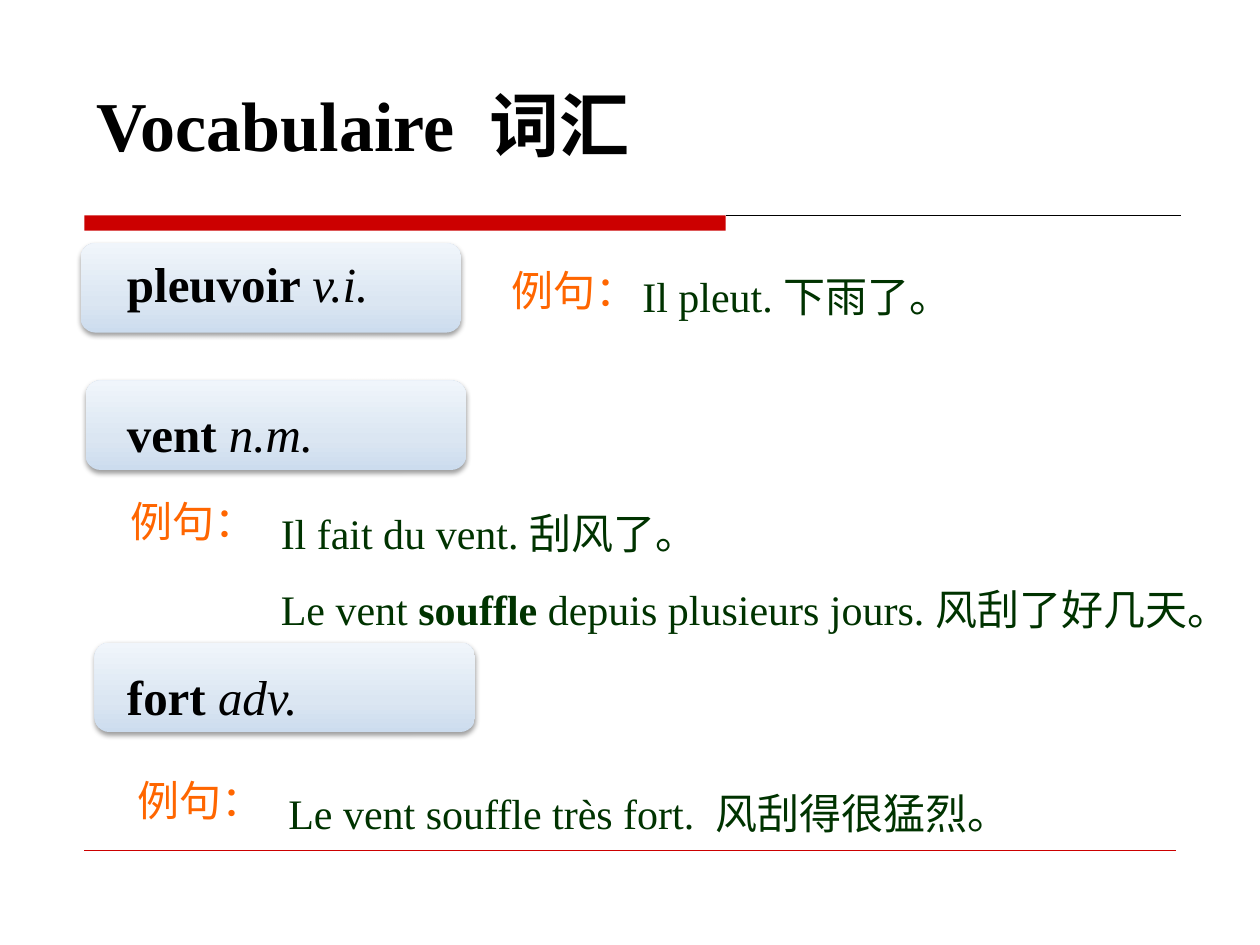
"""Build a French vocabulary slide with example sentences."""
from lxml import etree
from pptx import Presentation
from pptx.dml.color import RGBColor
from pptx.enum.shapes import MSO_CONNECTOR, MSO_SHAPE
from pptx.oxml import parse_xml
from pptx.oxml.ns import nsdecls, qn
from pptx.util import Inches, Pt

RECTANGLE = MSO_SHAPE.RECTANGLE
ROUNDED = MSO_SHAPE.ROUNDED_RECTANGLE
STRAIGHT = MSO_CONNECTOR.STRAIGHT
LATIN_FONT = "Times New Roman"
CHINESE_FONT = "Noto Sans CJK SC"
COLORS = {
    "red": "CC0000",
    "black": "000000",
    "green": "003300",
    "orange": "FF6600",
}
CARD_STOPS = [(0, "CCDCEE"), (35, "DBE6F2"), (100, "F0F5FB")]
CARDS = [(0.64, 1.93), (0.68, 3.02), (0.75, 5.1)]
WORDS = [
    ((0.91, 1.96, 2.44, 0.57), "pleuvoir ", "v.i.", 1),
    ((0.91, 2.92, 1.7, 0.72), "vent ", "n.m.", 1.5),
    ((0.91, 5.01, 1.57, 0.72), "fort ", "adv.", 1.5),
]
LABELS = [(3.96, 2.05), (0.94, 3.88), (0.99, 6.1)]
EXAMPLES = [
    ((5, 1.9, 2.76, 0.63), [[("Il pleut. 下雨了。", "")]]),
    ((2.13, 3.78, 8.82, 1.24), [
        [("Il fait du vent. 刮风了。", "")],
        [("Le vent ", ""), ("souffle", "b"),
         (" depuis plusieurs jours. 风刮了好几天。", "")],
    ]),
    ((2.19, 6, 8.82, 0.63), [[("Le vent souffle très fort.  风刮得很猛烈。", "")]]),
]


def rgb(name):
    """Return the named colour."""
    return RGBColor.from_string(COLORS[name])


def add_rule(slide, left, right, top, color, width):
    """Add a horizontal line without shadow."""
    rule = slide.shapes.add_connector(
        STRAIGHT, Inches(left), Inches(top), Inches(right), Inches(top))
    rule.line.color.rgb = rgb(color)
    rule.line.width = Pt(width)
    etree.SubElement(rule._element.spPr, qn("a:effectLst"))


def add_bar(slide, left, top, width, height):
    """Add the solid bar below the title."""
    bar = slide.shapes.add_shape(
        RECTANGLE, Inches(left), Inches(top), Inches(width), Inches(height))
    bar.shadow.inherit = False
    bar.fill.solid()
    bar.fill.fore_color.rgb = rgb("red")
    bar.line.fill.background()


def add_card(slide, left, top):
    """Add a rounded card with a gradient and a soft shadow."""
    card = slide.shapes.add_shape(
        ROUNDED, Inches(left), Inches(top), Inches(3.02), Inches(0.71))
    card.line.fill.background()
    stops = "".join(
        f'<a:gs pos="{position * 1000}"><a:srgbClr val="{color}"/></a:gs>'
        for position, color in CARD_STOPS)
    gradient = parse_xml(
        f'<a:gradFill {nsdecls("a")} rotWithShape="1"><a:gsLst>{stops}</a:gsLst>'
        '<a:lin ang="16200000" scaled="1"/></a:gradFill>')
    shadow = parse_xml(
        f'<a:effectLst {nsdecls("a")}><a:outerShdw blurRad="{Pt(3.1)}" '
        f'dist="{Pt(1.6)}" dir="5400000" rotWithShape="0"><a:srgbClr val="000000">'
        '<a:alpha val="38000"/></a:srgbClr></a:outerShdw></a:effectLst>')
    properties = card._element.spPr
    properties.find(qn("a:prstGeom")).addnext(gradient)
    properties.append(shadow)


def add_text(slide, box, paragraphs, size, color, font=LATIN_FONT, spacing=1, wrap=True):
    """Add a text box of paragraphs, each a list of (text, style) runs."""
    frame = slide.shapes.add_textbox(*map(Inches, box)).text_frame
    frame.word_wrap = wrap
    for index, runs in enumerate(paragraphs):
        paragraph = frame.add_paragraph() if index else frame.paragraphs[0]
        if index:
            properties = paragraph._p.get_or_add_pPr()
            properties.set("marL", str(Inches(0.5)))
            properties.set("indent", str(-Inches(0.5)))
        paragraph.line_spacing = spacing
        paragraph.font.size = Pt(size)
        paragraph.font.name = font
        paragraph.font.color.rgb = rgb(color)
        defaults = paragraph._p.pPr.find(qn("a:defRPr"))
        defaults.find(qn("a:latin")).addnext(
            parse_xml(f'<a:ea {nsdecls("a")} typeface="{CHINESE_FONT}"/>'))
        for text, style in runs:
            run = paragraph.add_run()
            run.text = text
            if style:
                run.font.bold = style == "b"
                run.font.italic = style == "i"


def main():
    """Build and save the slide."""
    presentation = Presentation()
    presentation.slide_width = Inches(10)
    presentation.slide_height = Inches(7.5)
    slide = presentation.slides.add_slide(presentation.slide_layouts[6])

    add_bar(slide, 0.67, 1.71, 5.09, 0.12)
    add_rule(slide, 5.76, 9.37, 1.71, "black", 0.75)
    add_rule(slide, 0.67, 9.33, 6.75, "red", 0.25)
    add_text(slide, (0.67, 0.6, 7.8, 0.77), [[("Vocabulaire  词汇", "b")]], 40, "black")
    for left, top in CARDS:
        add_card(slide, left, top)
    for box, word, category, spacing in WORDS:
        add_text(slide, box, [[(word, "b"), (category, "i")]], 28, "black",
                 spacing=spacing, wrap=False)
    for left, top in LABELS:
        add_text(slide, (left, top, 1.21, 0.5), [[("例句：", "")]], 24, "orange",
                 font=CHINESE_FONT, wrap=False)
    for box, paragraphs in EXAMPLES:
        add_text(slide, box, paragraphs, 24, "green", spacing=1.5)

    presentation.save("out.pptx")


if __name__ == "__main__":
    main()
